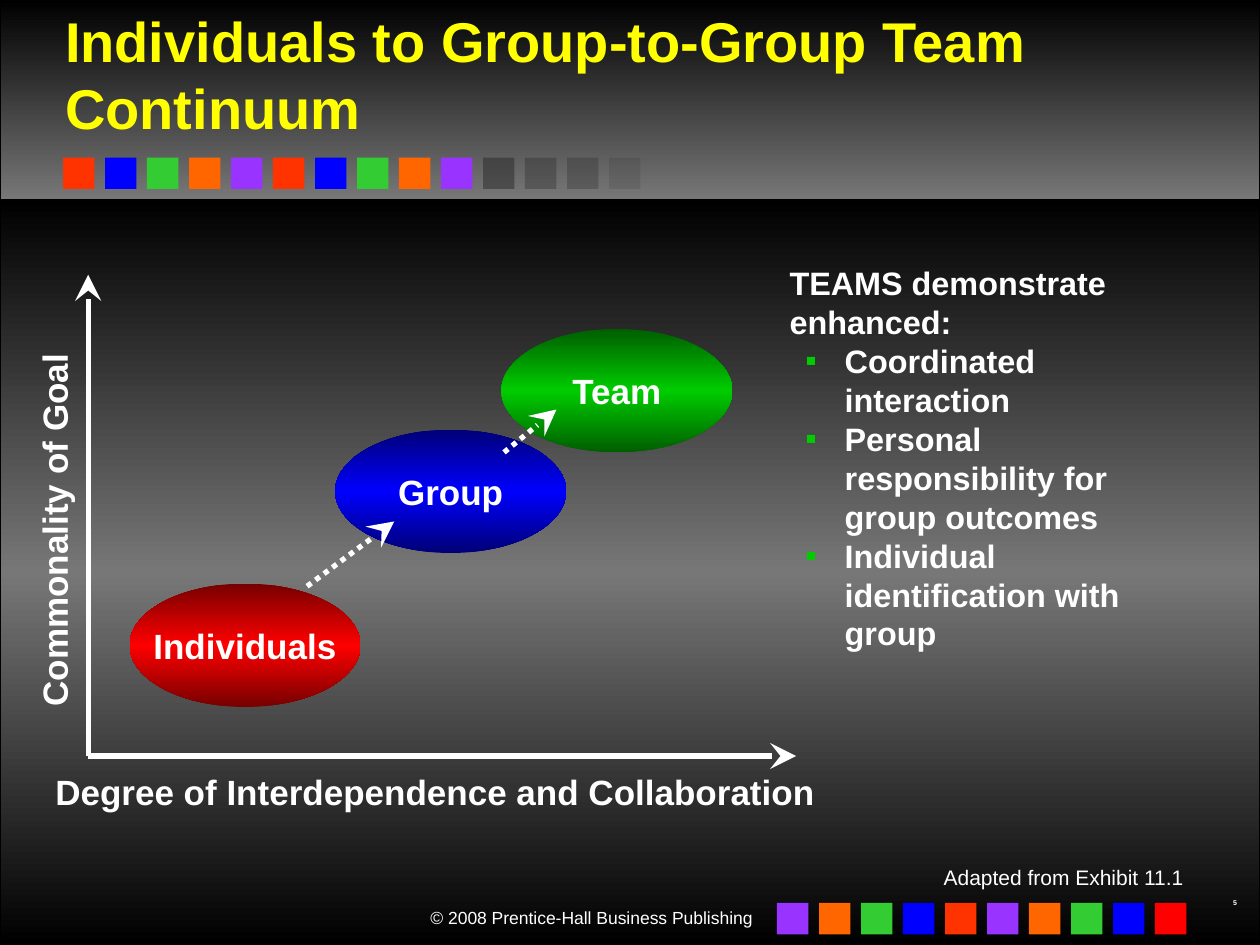
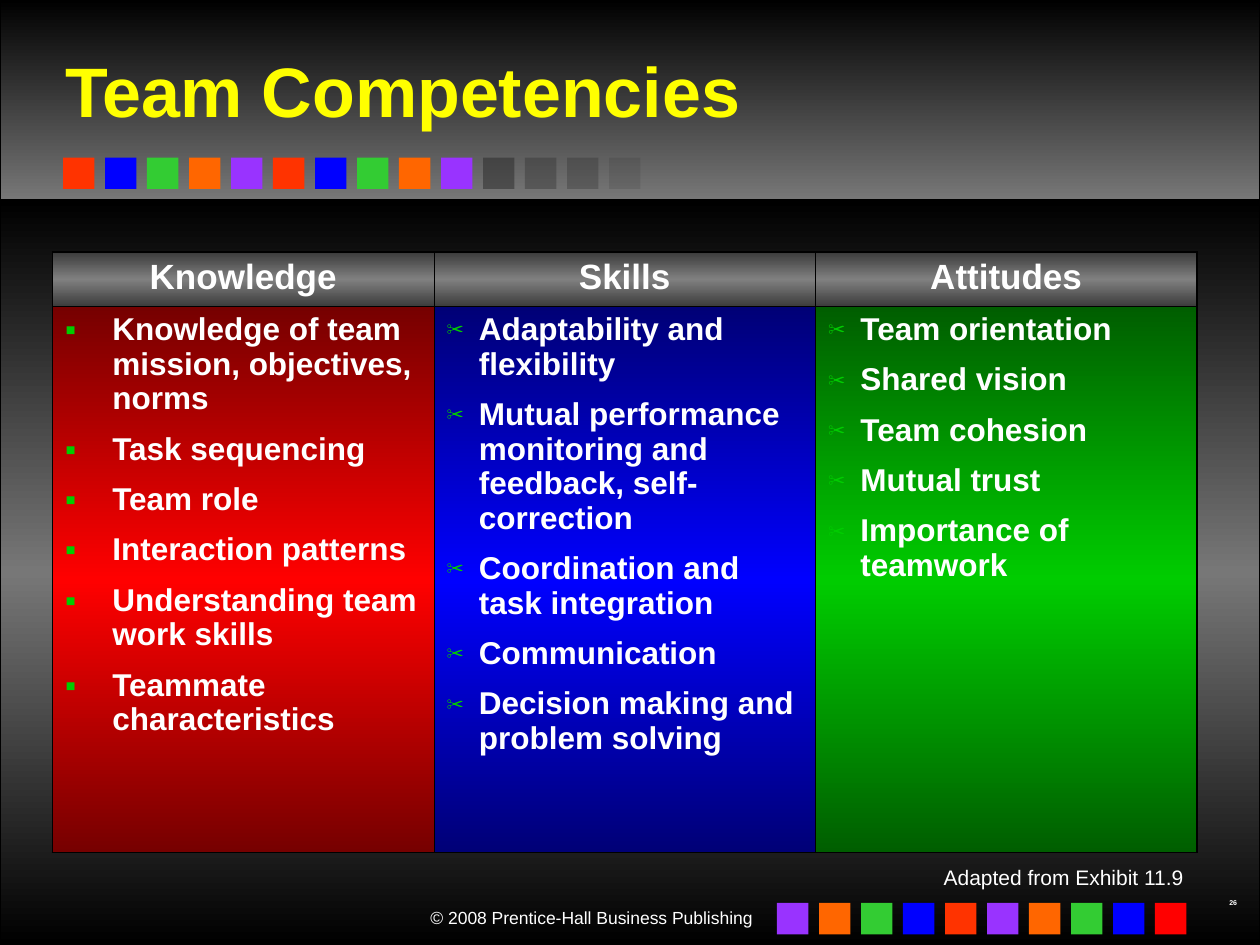
"""Build two team-development slides on a shared dark master."""
import dataclasses

import pptx
import pptx.dml.color
import pptx.enum.dml
import pptx.enum.shapes
import pptx.enum.text
import pptx.oxml
import pptx.oxml.ns
import pptx.util

Pt = pptx.util.Pt
qn = pptx.oxml.ns.qn
Align = pptx.enum.text.PP_ALIGN
Anchor = pptx.enum.text.MSO_ANCHOR
Preset = pptx.enum.shapes.MSO_SHAPE


@dataclasses.dataclass(frozen=True)
class Theme:
    """Colours, gradients and type sizes."""
    font: str = "Arial"
    text: str = "FFFFFF"
    title: str = "FFFF00"
    edge: str = "000000"
    bullet: str = "00CC00"
    vermilion: str = "FF3300"
    blue: str = "0000FF"
    green: str = "33CC33"
    orange: str = "FF6600"
    violet: str = "9933FF"
    red: str = "FF0000"
    faded: str = "292929"
    header_band: tuple = ("000000", "777777")
    body_band: tuple = ("000000", "777777", "000000")
    grey_glow: tuple = ("3B3B3B", "808080", "3B3B3B")
    red_glow: tuple = ("760000", "FF0000", "760000")
    blue_glow: tuple = ("000076", "0000FF", "000076")
    green_glow: tuple = ("005E00", "00CC00", "005E00")
    label_size: float = 20
    list_size: float = 18.5
    cell_size: float = 18
    source_size: float = 12
    copyright_size: float = 10
    number_size: float = 4


THEME = Theme()
WIDTH, HEIGHT, BAND_END = 720, 540, 114
SQUARE, SQUARE_STEP = 18, 24

COPYRIGHT = "© 2008 Prentice-Hall Business Publishing"
HEADER_SQUARES = [(colour, 100) for colour in (
    THEME.vermilion, THEME.blue, THEME.green, THEME.orange, THEME.violet) * 2]
HEADER_SQUARES += [(THEME.faded, opacity) for opacity in (50, 35, 30, 15)]
FOOTER_SQUARES = [(colour, 100) for colour in (
    THEME.violet, THEME.orange, THEME.green, THEME.blue, THEME.vermilion,
    THEME.violet, THEME.orange, THEME.green, THEME.blue, THEME.red)]

CONTINUUM = {
    "title": "Individuals to Group-to-Group Team Continuum",
    "title_box": (30, 0, 678, 84), "title_size": 32,
    "source": "Adapted from Exhibit 11.1", "number": "5",
}
TRAITS_HEADING = "TEAMS demonstrate enhanced:"
TRAITS = ["Coordinated interaction", "Personal responsibility for group outcomes",
          "Individual identification with group"]
STAGES = [("Individuals", 74, 333.5, THEME.red_glow),
          ("Group", 191.5, 245.5, THEME.blue_glow),
          ("Team", 286.5, 188, THEME.green_glow)]
AXIS_ORIGIN = (50.4, 432)
AXIS_ENDS = [(455, 432), (50.4, 157)]
STAGE_STEPS = [((175.5, 335), (225.3, 298)), ((288, 258.5), (318, 234))]
AXIS_LABELS = [("Degree of Interdependence and Collaboration", (24.5, 436.5, 448.5, 31.5), 0),
               ("Commonality of Goal", (-77, 287.3, 216, 31.5), 270)]

COMPETENCIES = {
    "title": "Team Competencies",
    "title_box": (30, 18, 678, 66), "title_size": 40,
    "source": "Adapted from Exhibit 11.9", "number": "26",
}
COLUMNS = [
    ("Knowledge", THEME.red_glow, ("▪", 27, 100), [
        "Knowledge of team mission, objectives, norms", "Task sequencing", "Team role",
        "Interaction patterns", "Understanding team work skills", "Teammate characteristics"]),
    ("Skills", THEME.blue_glow, ("✂", 18.5, 55), [
        "Adaptability and flexibility",
        "Mutual performance monitoring and feedback, self-correction",
        "Coordination and task integration", "Communication",
        "Decision making and problem solving"]),
    ("Attitudes", THEME.green_glow, ("✂", 18.5, 55), [
        "Team orientation", "Shared vision", "Team cohesion", "Mutual trust",
        "Importance of teamwork"]),
]
TABLE_BOX = (30, 144, 654, 343)
ROW_HEIGHTS = (31, 312)


def rgb(colour):
    """Turn a hex string into a colour."""
    return pptx.dml.color.RGBColor.from_string(colour)


def points(numbers):
    """Turn numbers into lengths in points."""
    return [Pt(number) for number in numbers]


def xml(markup):
    """Parse one drawing element given without its prefix."""
    space = pptx.oxml.ns.nsdecls("a")
    name, _, rest = markup.partition(" ")
    return pptx.oxml.parse_xml(f"<a:{name} {space} {rest}")


def fill_gradient(fill, owner, colours):
    """Fill from top to bottom with evenly spaced colours."""
    fill.gradient()
    fill.gradient_angle = 270
    stops = next(owner.iter(qn("a:gsLst")))
    for stop in list(stops):
        stops.remove(stop)
    for index, colour in enumerate(colours):
        position = round(100000 * index / (len(colours) - 1))
        stops.append(xml(f'gs pos="{position}"><a:srgbClr val="{colour}"/></a:gs>'))


def style(paragraph, size, colour=THEME.text, bold=True, align=None, shadow=False):
    """Format a paragraph and its runs."""
    paragraph.alignment = align
    for run in paragraph.runs:
        font = run.font
        font.name, font.size, font.bold = THEME.font, Pt(size), bold
        font.color.rgb = rgb(colour)
        if shadow:
            properties = run.font.fill.fore_color and next(paragraph._p.iter(qn("a:rPr")))
            properties.find(qn("a:solidFill")).addnext(xml(
                'effectLst ><a:outerShdw dist="25400" dir="2700000" algn="tl">'
                '<a:srgbClr val="000000"/></a:outerShdw></a:effectLst>'))


def add_bullet(paragraph, mark, margin, hanging, percent=100):
    """Give a paragraph a coloured bullet and a hanging indent."""
    properties = paragraph._p.get_or_add_pPr()
    properties.set("marL", str(Pt(margin)))
    properties.set("indent", str(-Pt(hanging)))
    for markup in (f'buClr ><a:srgbClr val="{THEME.bullet}"/></a:buClr>',
                   f'buSzPct val="{percent * 1000}"/>',
                   f'buFont typeface="{THEME.font}"/>', f'buChar char="{mark}"/>'):
        properties.append(xml(markup))


def add_shape(slide, preset, box):
    """Add a preset shape without shadow or outline."""
    shape = slide.shapes.add_shape(preset, *points(box))
    shape.shadow.inherit = False
    shape.line.fill.background()
    return shape


def add_text(slide, text, box, size, bold=True, align=Align.RIGHT, wrap=True):
    """Add a one-paragraph text box."""
    label = slide.shapes.add_textbox(*points(box))
    label.text_frame.word_wrap = wrap
    label.text_frame.text = text
    style(label.text_frame.paragraphs[0], size, bold=bold, align=align)
    return label


def add_arrow(slide, start, end, dotted=False):
    """Add a white arrow."""
    arrow = slide.shapes.add_connector(
        pptx.enum.shapes.MSO_CONNECTOR.STRAIGHT, *points(start + end))
    arrow.line.color.rgb = rgb(THEME.text)
    arrow.line.width = Pt(3)
    if dotted:
        arrow.line.dash_style = pptx.enum.dml.MSO_LINE.ROUND_DOT
    properties = arrow.element.spPr
    properties.find(qn("a:ln")).append(xml('tailEnd type="stealth" w="lg" len="lg"/>'))
    properties.append(xml("effectLst />"))


def dress_master(master, slide):
    """Draw the bands, squares and copyright line and hand them to the master."""
    parts = []
    for top, bottom, colours in ((0, BAND_END, THEME.header_band),
                                 (BAND_END, HEIGHT, THEME.body_band)):
        band = add_shape(slide, Preset.RECTANGLE, (0, top, WIDTH, bottom - top))
        fill_gradient(band.fill, band.element, colours)
        band.line.color.rgb = rgb(THEME.edge)
        band.line.width = Pt(0.75)
        parts.append(band)
    parts.append(add_text(slide, COPYRIGHT, (210, 515, 227, 19.5),
                          THEME.copyright_size, bold=False))
    for left, top, squares in ((36, 90, HEADER_SQUARES), (444, 516, FOOTER_SQUARES)):
        for index, (colour, opacity) in enumerate(squares):
            square = add_shape(slide, Preset.RECTANGLE,
                               (left + index * SQUARE_STEP, top, SQUARE, SQUARE))
            square.fill.solid()
            square.fill.fore_color.rgb = rgb(colour)
            if opacity < 100:
                tint = next(square.element.iter(qn("a:srgbClr")))
                tint.append(xml(f'alpha val="{opacity * 1000}"/>'))
            parts.append(square)
    for number, part in enumerate(parts, 100):
        part.element.nvSpPr.cNvPr.set("id", str(number))
        master.shapes.element.append(part.element)


def fill_common(slide, content):
    """Set the title, source line and slide number."""
    title = slide.shapes.title
    title.left, title.top, title.width, title.height = points(content["title_box"])
    title.text_frame.text = content["title"]
    title.text_frame.auto_size = pptx.enum.text.MSO_AUTO_SIZE.NONE
    title.text_frame.vertical_anchor = Anchor.MIDDLE
    style(title.text_frame.paragraphs[0], content["title_size"], THEME.title,
          align=Align.LEFT, shadow=True)
    add_text(slide, content["number"], (678, 510, 36, 12), THEME.number_size)
    source = add_text(slide, content["source"], (510, 492, 173.5, 20),
                      THEME.source_size, bold=False)
    source.text_frame.paragraphs[0].line_spacing = 0.9


def fill_traits(traits):
    """Fill the body placeholder with the heading and its bulleted traits."""
    traits.left, traits.top, traits.width, traits.height = points((444, 147, 248, 243))
    frame = traits.text_frame
    frame.text = "\n".join([TRAITS_HEADING] + TRAITS)
    frame.auto_size = pptx.enum.text.MSO_AUTO_SIZE.NONE
    heading, *items = frame.paragraphs
    properties = heading._p.get_or_add_pPr()
    properties.set("marL", "0")
    properties.set("indent", "0")
    properties.append(xml("buNone />"))
    for item in items:
        item.level = 1
        add_bullet(item, "▪", 31.5, 22.5)
    for paragraph in frame.paragraphs:
        paragraph.space_before = Pt(0)
        style(paragraph, THEME.list_size, align=Align.LEFT, shadow=True)


def draw_continuum(slide):
    """Draw the axes, the three stages and the arrows between them."""
    for end in AXIS_ENDS:
        add_arrow(slide, AXIS_ORIGIN, end)
    for name, left, top, colours in STAGES:
        stage = add_shape(slide, Preset.OVAL, (left, top, 132, 70.5))
        fill_gradient(stage.fill, stage.element, colours)
        stage.text_frame.word_wrap = False
        stage.text_frame.vertical_anchor = Anchor.MIDDLE
        stage.text_frame.text = name
        style(stage.text_frame.paragraphs[0], THEME.label_size, align=Align.CENTER)
    for start, end in STAGE_STEPS:
        add_arrow(slide, start, end, dotted=True)
    for text, box, rotation in AXIS_LABELS:
        label = add_text(slide, text, box, THEME.label_size, align=Align.CENTER, wrap=False)
        label.rotation = rotation


def finish_cell(cell, colours, outer_sides):
    """Give a cell its gradient and its borders, heavier on the outside."""
    properties = cell._tc.get_or_add_tcPr()
    fill_gradient(cell.fill, properties, colours)
    for index, side in enumerate("LRTB"):
        width = Pt(1.08 if side in outer_sides else 0.45)
        properties.insert(index, xml(
            f'ln{side} w="{width}"><a:solidFill><a:srgbClr val="{THEME.edge}"/>'
            f'</a:solidFill></a:ln{side}>'))


def add_competencies(slide):
    """Add the competency table."""
    table = slide.shapes.add_table(2, len(COLUMNS), *points(TABLE_BOX)).table
    table.first_row = table.horz_banding = False
    for row, height in zip(table.rows, ROW_HEIGHTS):
        row.height = Pt(height)
    for index, (name, colours, (mark, indent, percent), skills) in enumerate(COLUMNS):
        sides = {0: "L", len(COLUMNS) - 1: "R"}.get(index, "")
        header, body = table.cell(0, index), table.cell(1, index)
        header.text_frame.text = name
        style(header.text_frame.paragraphs[0], THEME.label_size, align=Align.CENTER)
        body.text_frame.text = "\n".join(skills)
        for number, paragraph in enumerate(body.text_frame.paragraphs):
            add_bullet(paragraph, mark, indent, indent, percent)
            paragraph.line_spacing = 0.98
            if number:
                paragraph.space_before = Pt(9)
            style(paragraph, THEME.cell_size)
        finish_cell(header, THEME.grey_glow, sides + "T")
        finish_cell(body, colours, sides + "B")


def main():
    """Build and save the deck."""
    deck = pptx.Presentation()
    deck.slide_width, deck.slide_height = points((WIDTH, HEIGHT))
    continuum = deck.slides.add_slide(deck.slide_layouts[1])
    dress_master(deck.slide_master, continuum)
    fill_common(continuum, CONTINUUM)
    fill_traits(continuum.placeholders[1])
    draw_continuum(continuum)
    competencies = deck.slides.add_slide(deck.slide_layouts[5])
    fill_common(competencies, COMPETENCIES)
    add_competencies(competencies)
    deck.save("out.pptx")


if __name__ == "__main__":
    main()
